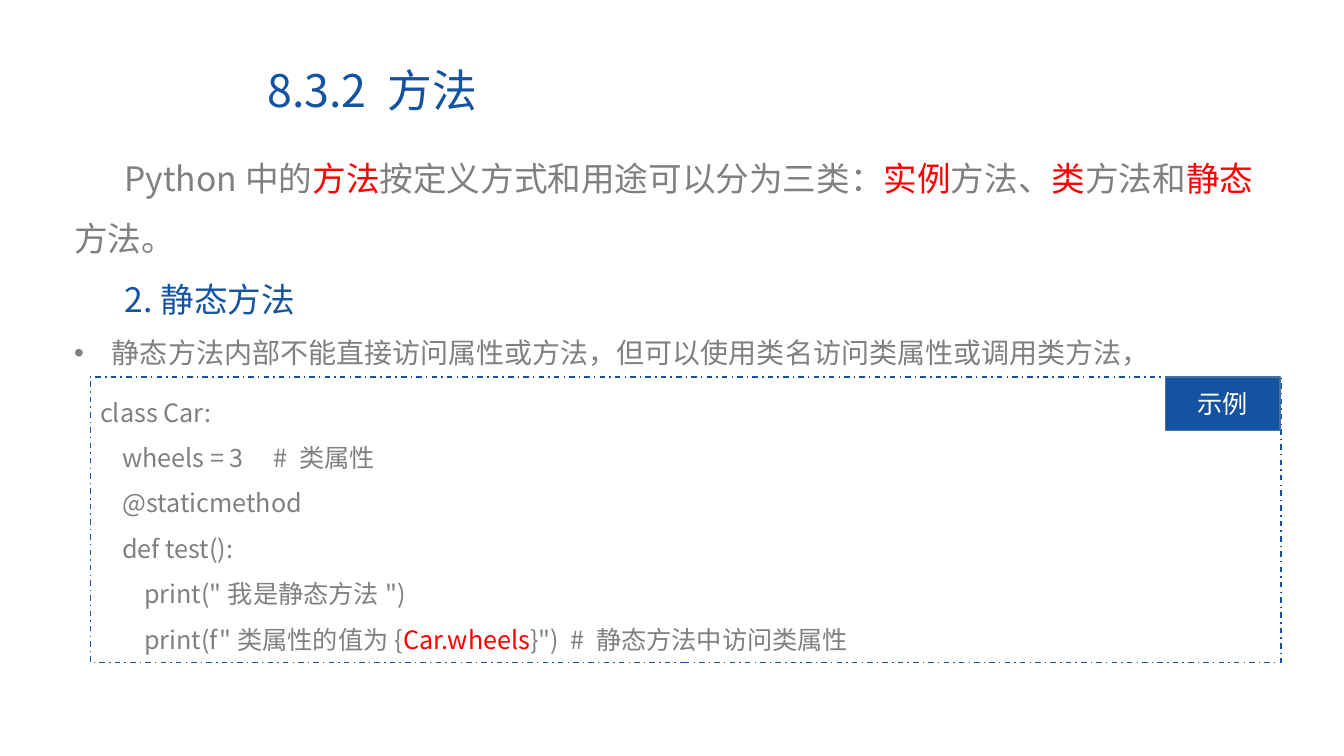
from pptx import Presentation
from pptx.dml.color import RGBColor as Rgb
from pptx.enum.dml import MSO_LINE as Dash
from pptx.enum.shapes import MSO_SHAPE as Shape
from pptx.enum.text import MSO_ANCHOR as Anchor, MSO_AUTO_SIZE as Auto, PP_ALIGN as Align
from pptx.oxml.ns import qn
from pptx.util import Pt

PX = 9525
FONT = "Noto Sans CJK SC"
HUES = {"blue": "1353A2", "gray": "808080", "red": "FF0000", "white": "FFFFFF", "edge": "43739E"}
STEP = 21
TAB = 165

INTRO = [
    ("Python中的", "gray"), ("方法", "red"), ("按定义方式和用途可以分为三类：", "gray"),
    ("实例", "red"), ("方法、", "gray"), ("类", "red"), ("方法和", "gray"),
    ("静态", "red"), ("方法。", "gray"),
]
HEAD = [("2.静态方法", "blue")]
NOTE = [("静态方法内部不能直接访问属性或方法，但可以使用类名访问类属性或调用类方法，", "gray")]
CODE = [
    (0, [("class Car:", "gray")]),
    (1, [("wheels = 3\t# 类属性", "gray")]),
    (1, [("@staticmethod", "gray")]),
    (1, [("def test():", "gray")]),
    (2, [('print("我是静态方法")', "gray")]),
    (2, [('print(f"类属性的值为{', "gray"), ("Car.wheels", "red"),
         ('}")  # 静态方法中访问类属性', "gray")]),
]


def hue(name):
    return Rgb.from_string(HUES[name])


def place(shape, left, top, width, height):
    shape.left, shape.top = left * PX, top * PX
    shape.width, shape.height = width * PX, height * PX


def setup(frame, anchor):
    frame.word_wrap = True
    frame.auto_size = Auto.NONE
    frame.vertical_anchor = anchor


def write(para, parts, size, space=1.5, left=0, indent=0, bullet=None, align=Align.LEFT):
    para.alignment = align
    para.line_spacing = space
    para.space_before = para.space_after = Pt(0)
    props = para._p.get_or_add_pPr()
    props.set("marL", str(left * PX))
    props.set("indent", str(indent * PX))
    if bullet:
        props.add_child = props.makeelement(qn("a:buChar"), {"char": bullet})
        props.append(props.add_child)
    else:
        props.append(props.makeelement(qn("a:buNone"), {}))
    for text, color in parts:
        run = para.add_run()
        run.text = text
        run.font.size = Pt(size)
        run.font.name = FONT
        run.font.color.rgb = hue(color)
        latin = run._r.rPr.find(qn("a:latin"))
        latin.addnext(latin.makeelement(qn("a:ea"), {"typeface": FONT}))


def add_tab(para, pos):
    props = para._p.get_or_add_pPr()
    tabs = props.makeelement(qn("a:tabLst"), {})
    tabs.append(tabs.makeelement(qn("a:tab"), {"pos": str(pos * PX), "algn": "l"}))
    props.append(tabs)


def lines(frame):
    yield frame.paragraphs[0]
    while True:
        yield frame.add_paragraph()


def add_box(slide, area, edge, fill=None, anchor=Anchor.TOP):
    box = slide.shapes.add_shape(Shape.RECTANGLE, 0, 0, 0, 0)
    place(box, *area)
    box.shadow.inherit = False
    if fill:
        box.fill.solid()
        box.fill.fore_color.rgb = hue(fill)
    else:
        box.fill.background()
    box.line.color.rgb = hue(edge)
    box.line.width = Pt(1)
    setup(box.text_frame, anchor)
    return box


def add_title(slide):
    title = slide.shapes.title
    place(title, 245, 60, 877, 57)
    setup(title.text_frame, Anchor.MIDDLE)
    write(title.text_frame.paragraphs[0], [("8.3.2 方法", "blue")], 32, 0.9)


def add_body(slide):
    body = slide.placeholders[1]
    place(body, 61, 126, 1158, 232)
    setup(body.text_frame, Anchor.TOP)
    paras = lines(body.text_frame)
    write(next(paras), INTRO, 24, indent=48)
    write(next(paras), HEAD, 24, indent=48)
    write(next(paras), NOTE, 20, left=36, indent=-36, bullet="•")


def add_code(slide):
    box = add_box(slide, (86, 359, 1134, 272), "blue")
    box.line.dash_style = Dash.DASH_DOT
    for (level, parts), para in zip(CODE, lines(box.text_frame)):
        write(para, parts, 18, left=level * STEP)
        if "\t" in parts[0][0]:
            add_tab(para, TAB)


def add_tag(slide):
    tag = add_box(slide, (1110, 359, 109, 51), "edge", "blue", Anchor.MIDDLE)
    write(tag.text_frame.paragraphs[0], [("示例", "white")], 18, 1.0, align=Align.CENTER)


def main():
    deck = Presentation()
    deck.slide_width, deck.slide_height = 1280 * PX, 720 * PX
    slide = deck.slides.add_slide(deck.slide_layouts[1])
    add_title(slide)
    add_body(slide)
    add_code(slide)
    add_tag(slide)
    deck.save("out.pptx")


if __name__ == "__main__":
    main()
